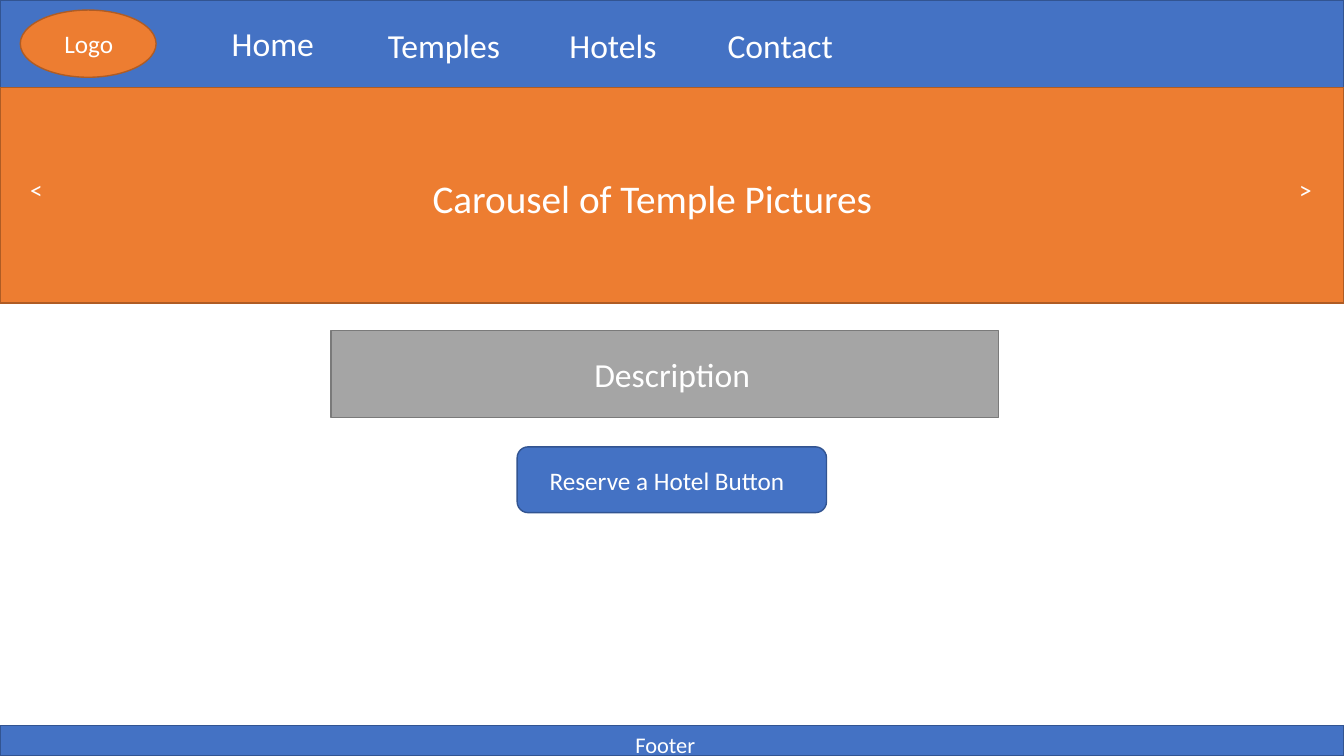
from pptx import Presentation
from pptx.dml.color import RGBColor
from pptx.enum.shapes import MSO_SHAPE as Preset
from pptx.enum.text import MSO_AUTO_SIZE as AutoSize, PP_ALIGN as Align
from pptx.util import Pt

BLUE = RGBColor(0x44, 0x72, 0xC4)
BLUE_EDGE = RGBColor(0x32, 0x54, 0x91)
ORANGE = RGBColor(0xED, 0x7D, 0x31)
ORANGE_EDGE = RGBColor(0xAF, 0x5C, 0x24)
GRAY = RGBColor(0xA5, 0xA5, 0xA5)
GRAY_EDGE = RGBColor(0x7A, 0x7A, 0x7A)
WHITE = RGBColor(0xFF, 0xFF, 0xFF)
WIDTH, HEIGHT = 960, 540

presentation = Presentation()
presentation.slide_width = Pt(WIDTH)
presentation.slide_height = Pt(HEIGHT)
slide = presentation.slides.add_slide(presentation.slide_layouts[6])


def add_block(preset, left, top, width, height, fill, edge):
    shape = slide.shapes.add_shape(preset, Pt(left), Pt(top), Pt(width), Pt(height))
    shape.shadow.inherit = False
    shape.fill.solid()
    shape.fill.fore_color.rgb = fill
    shape.line.color.rgb = edge
    shape.line.width = Pt(1)


def add_label(text, left, top, width, height, size, align=Align.LEFT):
    box = slide.shapes.add_textbox(Pt(left), Pt(top), Pt(width), Pt(height))
    frame = box.text_frame
    frame.word_wrap = True
    frame.auto_size = AutoSize.SHAPE_TO_FIT_TEXT
    frame.text = text
    paragraph = frame.paragraphs[0]
    paragraph.alignment = align
    font = paragraph.runs[0].font
    font.name = "Calibri"
    font.size = Pt(size)
    font.color.rgb = WHITE


add_block(Preset.RECTANGLE, 0, 0, WIDTH, 64.5, BLUE, BLUE_EDGE)
add_block(Preset.OVAL, 14.5, 7.2, 97, 48, ORANGE, ORANGE_EDGE)
add_label("Logo", 38.9, 16.8, 62.5, 29, 18)

navigation = [
    ("Home", 158.4, 13.1, 78.5),
    ("Temples", 270, 14.4, 97.2),
    ("Hotels", 399.6, 14.4, 80.6),
    ("Contact", 512.6, 14.4, 97.2),
]
for name, left, top, width in navigation:
    add_label(name, left, top, width, 36, 24)

add_block(Preset.RECTANGLE, 0, 62.6, WIDTH, 154, ORANGE, ORANGE_EDGE)
add_label("Carousel of Temple Pictures", 218.2, 121, 495.4, 41, 28, Align.CENTER)
for arrow, left in [("<", 14.4), (">", 920.9)]:
    add_label(arrow, left, 121, 24.5, 29, 18)

add_block(Preset.RECTANGLE, 236.5, 236, 476.6, 62.4, GRAY, GRAY_EDGE)
add_label("Description", 329, 249.1, 302.4, 36, 24, Align.CENTER)

add_block(Preset.ROUNDED_RECTANGLE, 369.4, 319.2, 221, 47, BLUE, BLUE_EDGE)
add_label("Reserve a Hotel Button", 385.5, 328.5, 188.6, 29, 18)

add_block(Preset.RECTANGLE, 0, 518.4, WIDTH, 21.6, BLUE, BLUE_EDGE)
add_label("Footer", 378.7, 518.4, 193, 26.6, 16, Align.CENTER)

presentation.save("out.pptx")
